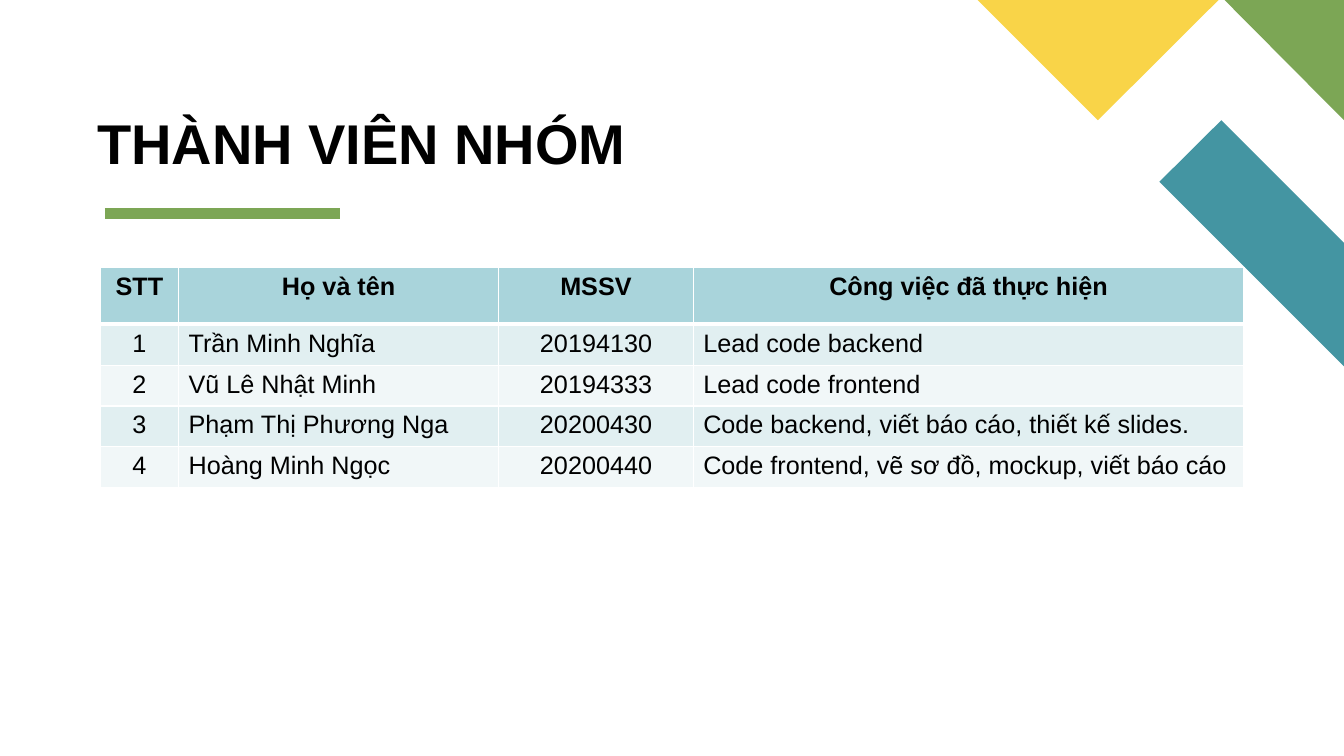
from lxml import etree
from pptx import Presentation
from pptx import util as u
from pptx.dml.color import RGBColor
from pptx.enum import shapes, text
from pptx.oxml import ns

WHITE = RGBColor(0xFF, 0xFF, 0xFF)
BLACK = RGBColor(0, 0, 0)
GREEN = RGBColor(0x7C, 0xA6, 0x55)
TEAL = RGBColor(0x44, 0x95, 0xA2)
YELLOW = RGBColor(0xF9, 0xD4, 0x48)
HEADER_FILL = RGBColor(0xA9, 0xD4, 0xDB)
BAND_FILLS = (RGBColor(0xE1, 0xEF, 0xF1), RGBColor(0xF1, 0xF7, 0xF8))
FONT = "Arial"

CENTER, LEFT, JUSTIFY = (
    text.PP_ALIGN.CENTER, text.PP_ALIGN.LEFT, text.PP_ALIGN.JUSTIFY)
COLUMN_WIDTHS = (1.97, 8.07, 4.9, 13.88)
COLUMN_ALIGNS = (CENTER, LEFT, CENTER, JUSTIFY)
HEADER_HEIGHT, MEMBER_HEIGHT = 1.42, 1.03
MEMBERS = (
    ("STT", "Họ và tên", "MSSV", "Công việc đã thực hiện"),
    ("1", "Trần Minh Nghĩa", "20194130", "Lead code backend"),
    ("2", "Vũ Lê Nhật Minh", "20194333", "Lead code frontend"),
    ("3", "Phạm Thị Phương Nga", "20200430",
     "Code backend, viết báo cáo, thiết kế slides."),
    ("4", "Hoàng Minh Ngọc", "20200440",
     "Code frontend, vẽ sơ đồ, mockup, viết báo cáo"),
)

# Corner ornaments, in cm from the top left of their box
ORNAMENTS = (
    (TEAL, ((9.23, 9.23), (9.23, 6.12), (6.14, 3.03), (4.58, 4.58))),
    (GREEN, ((9.23, 3.03), (9.23, 0), (6.22, 0))),
    (YELLOW, ((0, 0), (3.03, 3.03), (6.07, 0))),
)


def write(paragraph, wording, size, bold, align):
    paragraph.alignment = align
    run = paragraph.add_run()
    run.text = wording
    run.font.name = FONT
    run.font.size = u.Pt(size)
    run.font.bold = bold
    run.font.color.rgb = BLACK


def add_ornaments(slide, left, top):
    for color, corners in ORNAMENTS:
        points = [(u.Cm(left + x), u.Cm(top + y)) for x, y in corners]
        builder = slide.shapes.build_freeform(*points[0])
        builder.add_line_segments(points[1:], close=True)
        ornament = builder.convert_to_shape()
        ornament.shadow.inherit = False
        ornament.fill.solid()
        ornament.fill.fore_color.rgb = color
        ornament.line.fill.background()


def add_heading(slide, left, top, width, height):
    """Place the title and the thick rule below it."""
    title = slide.shapes.title
    title.left, title.top = u.Cm(left), u.Cm(top)
    title.width, title.height = u.Cm(width), u.Cm(height)
    frame = title.text_frame
    frame.word_wrap = True
    frame.auto_size = text.MSO_AUTO_SIZE.NONE
    frame.vertical_anchor = text.MSO_ANCHOR.TOP
    write(frame.paragraphs[0], "THÀNH VIÊN NHÓM", 40, True, LEFT)

    rule_left, rule_y = left + 0.44, top + height + 0.82
    rule = slide.shapes.add_connector(
        shapes.MSO_CONNECTOR.STRAIGHT, u.Cm(rule_left), u.Cm(rule_y),
        u.Cm(rule_left + 5.94), u.Cm(rule_y))
    rule.line.color.rgb = GREEN
    rule.line.width = u.Pt(8)
    etree.SubElement(rule.element.spPr, ns.qn("a:effectLst"))


def set_borders(cell, widths):
    """Draw white borders; widths in points for left, right, top, bottom."""
    properties = cell._tc.get_or_add_tcPr()
    for index, (side, width) in enumerate(zip("LRTB", widths)):
        border = etree.Element(ns.qn(f"a:ln{side}"), w=str(u.Pt(width)))
        fill = etree.SubElement(border, ns.qn("a:solidFill"))
        etree.SubElement(fill, ns.qn("a:srgbClr"), val=str(WHITE))
        properties.insert(index, border)


def add_members(slide, left, top):
    heights = [HEADER_HEIGHT] + [MEMBER_HEIGHT] * (len(MEMBERS) - 1)
    table = slide.shapes.add_table(
        len(MEMBERS), len(COLUMN_WIDTHS), u.Cm(left), u.Cm(top),
        u.Cm(sum(COLUMN_WIDTHS)), u.Cm(sum(heights))).table
    for column, width in zip(table.columns, COLUMN_WIDTHS):
        column.width = u.Cm(width)
    for r, (member, height) in enumerate(zip(MEMBERS, heights)):
        table.rows[r].height = u.Cm(height)
        header = r == 0
        for c, wording in enumerate(member):
            cell = table.cell(r, c)
            cell.fill.solid()
            cell.fill.fore_color.rgb = (
                HEADER_FILL if header else BAND_FILLS[(r - 1) % 2])
            set_borders(cell, (1, 1, 3 if r == 1 else 1, 3 if header else 1))
            write(cell.text_frame.paragraphs[0], wording, 18, header,
                  CENTER if header else COLUMN_ALIGNS[c])


def main():
    deck = Presentation()
    deck.slide_width, deck.slide_height = u.Cm(33.87), u.Cm(19.05)
    slide = deck.slides.add_slide(deck.slide_layouts[5])
    slide.background.fill.solid()
    slide.background.fill.fore_color.rgb = WHITE
    add_ornaments(slide, 24.64, 0)
    add_heading(slide, 2.2, 2.6, 20.07, 1.96)
    add_members(slide, 2.53, 6.75)
    deck.save("out.pptx")


if __name__ == "__main__":
    main()
